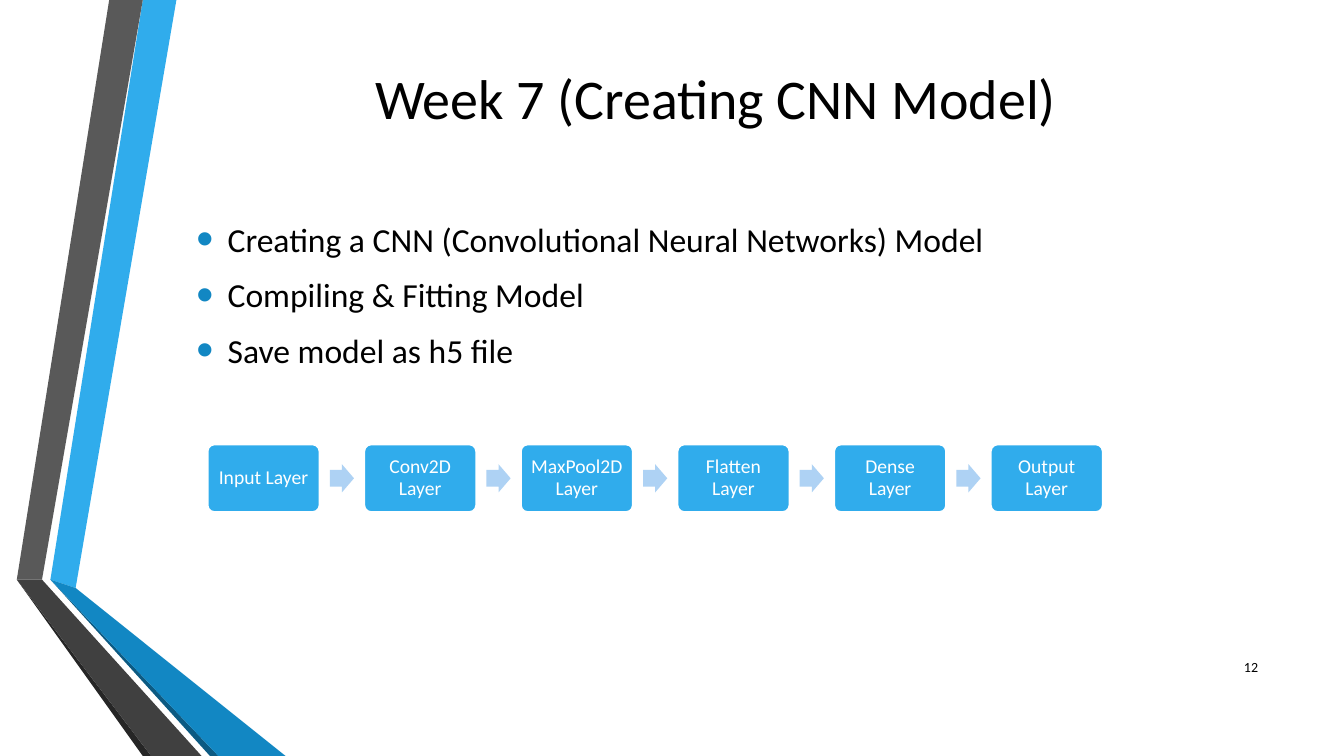
from lxml import etree
from pptx import Presentation
from pptx import util as u
from pptx.dml.color import RGBColor
from pptx.enum import shapes, text
from pptx.oxml.ns import qn

COLORS = {
    "black": "000000", "white": "FFFFFF", "sky": "30ACEC", "blue": "1287C3",
    "navy": "0C5A82", "gray": "595959", "charcoal": "404040",
    "soot": "262626", "pale": "AED2F4",
}
FONT = "Calibri"
COLUMNS, ROWS = 160, 90
CELL = u.Inches(7.5) / ROWS  # square grid cell

RIBBONS = [
    ("sky", [(6, 69.36), (9.24, 69.96), (20.76, 0), (17.4, 0)]),
    ("gray", [(16.68, 0), (13.32, 0), (1.92, 68.76), (5.28, 69.24)]),
    ("soot", [(1.92, 68.76), (17.4, 90), (18.12, 90)]),
    ("navy", [(6, 69.48), (24.96, 90), (25.68, 90)]),
    ("blue", [(6, 69.36), (25.68, 90), (33.96, 90), (9.24, 69.96)]),
    ("charcoal", [(24.24, 90), (5.28, 69.36), (1.92, 68.76), (18.12, 90)]),
]
BULLETS = [
    "Creating a CNN (Convolutional Neural Networks) Model",
    "Compiling & Fitting Model",
    "Save model as h5 file",
]
LAYERS = ["Input Layer", "Conv2D Layer", "MaxPool2D Layer",
          "Flatten Layer", "Dense Layer", "Output Layer"]


def grid(*cells):
    return [round(cell * CELL) for cell in cells]


def color(name):
    return RGBColor.from_string(COLORS[name])


def paint(shape, fill, line=None):
    shape.shadow.inherit = False
    shape.fill.solid()
    shape.fill.fore_color.rgb = color(fill)
    if line:
        shape.line.color.rgb = color(line)
        shape.line.width = u.Pt(1.25)
    else:
        shape.line.fill.background()


def style(para, size, ink, align):
    para.alignment = align
    para.font.size = u.Pt(size)
    para.font.name = FONT
    para.font.color.rgb = color(ink)


def add_ribbons(page):
    for fill, points in RIBBONS:
        builder = page.shapes.build_freeform(*points[0], scale=CELL)
        builder.add_line_segments(points[1:], close=True)
        paint(builder.convert_to_shape(), fill)


def add_line_of_text(page, box, words, size, align):
    frame = page.shapes.add_textbox(*grid(*box)).text_frame
    frame.word_wrap = True
    frame.vertical_anchor = text.MSO_ANCHOR.MIDDLE
    para = frame.paragraphs[0]
    para.text = words
    style(para, size, "black", align)


def add_bullet(para):
    props = para._p.get_or_add_pPr()
    props.set("marL", str(u.Inches(0.31)))
    props.set("indent", str(-u.Inches(0.31)))
    tint = etree.SubElement(props, qn("a:buClr"))
    etree.SubElement(tint, qn("a:srgbClr"), val=COLORS["blue"])
    etree.SubElement(props, qn("a:buSzPct"), val="145000")
    etree.SubElement(props, qn("a:buFont"), typeface="Arial")
    etree.SubElement(props, qn("a:buChar"), char="•")


def add_bullets(page, box, items):
    frame = page.shapes.add_textbox(*grid(*box)).text_frame
    frame.word_wrap = True
    for index, item in enumerate(items):
        para = frame.add_paragraph() if index else frame.paragraphs[0]
        para.text = item
        add_bullet(para)
        style(para, 24, "black", text.PP_ALIGN.LEFT)
        para.space_before = u.Pt(4.8 if index else 0)
        para.space_after = u.Pt(6)


def add_layer(page, box, name):
    layer = page.shapes.add_shape(shapes.MSO_SHAPE.ROUNDED_RECTANGLE, *grid(*box))
    layer.adjustments[0] = 0.1
    paint(layer, "sky", "white")
    frame = layer.text_frame
    frame.word_wrap = True
    frame.vertical_anchor = text.MSO_ANCHOR.MIDDLE
    frame.margin_left = frame.margin_right = u.Inches(0.08)
    frame.margin_top = frame.margin_bottom = u.Inches(0.08)
    para = frame.paragraphs[0]
    para.text = name
    para.line_spacing = 0.9
    style(para, 14, "white", text.PP_ALIGN.CENTER)


def add_flow(page, box, names):
    """Spread the layers evenly over the box, with an arrow in each gap."""
    left, top, width, height = box
    layer_width, arrow_width, arrow_height = 13.32, 2.88, 3.36
    step = (width - layer_width) / (len(names) - 1)
    gap = step - layer_width
    for index, name in enumerate(names):
        x = left + index * step
        if index:
            arrow = page.shapes.add_shape(
                shapes.MSO_SHAPE.RIGHT_ARROW,
                *grid(x - (gap + arrow_width) / 2, top + (height - arrow_height) / 2,
                      arrow_width, arrow_height))
            arrow.adjustments[0] = 0.6
            arrow.adjustments[1] = 0.5
            paint(arrow, "pale")
        add_layer(page, (x, top, layer_width, height), name)


def main():
    deck = Presentation()
    deck.slide_width, deck.slide_height = grid(COLUMNS, ROWS)
    page = deck.slides.add_slide(deck.slide_layouts[6])
    add_ribbons(page)
    add_line_of_text(page, (19.44, 0, 131.52, 23.04),
                     "Week 7 (Creating CNN Model)", 40, text.PP_ALIGN.CENTER)
    add_bullets(page, (22.2, 25.44, 116.4, 24), BULLETS)
    add_line_of_text(page, (143.76, 77.04, 7.2, 4.8), "12", 10, text.PP_ALIGN.RIGHT)
    add_flow(page, (24.72, 52.92, 106.56, 8.04), LAYERS)
    deck.save("out.pptx")


if __name__ == "__main__":
    main()
